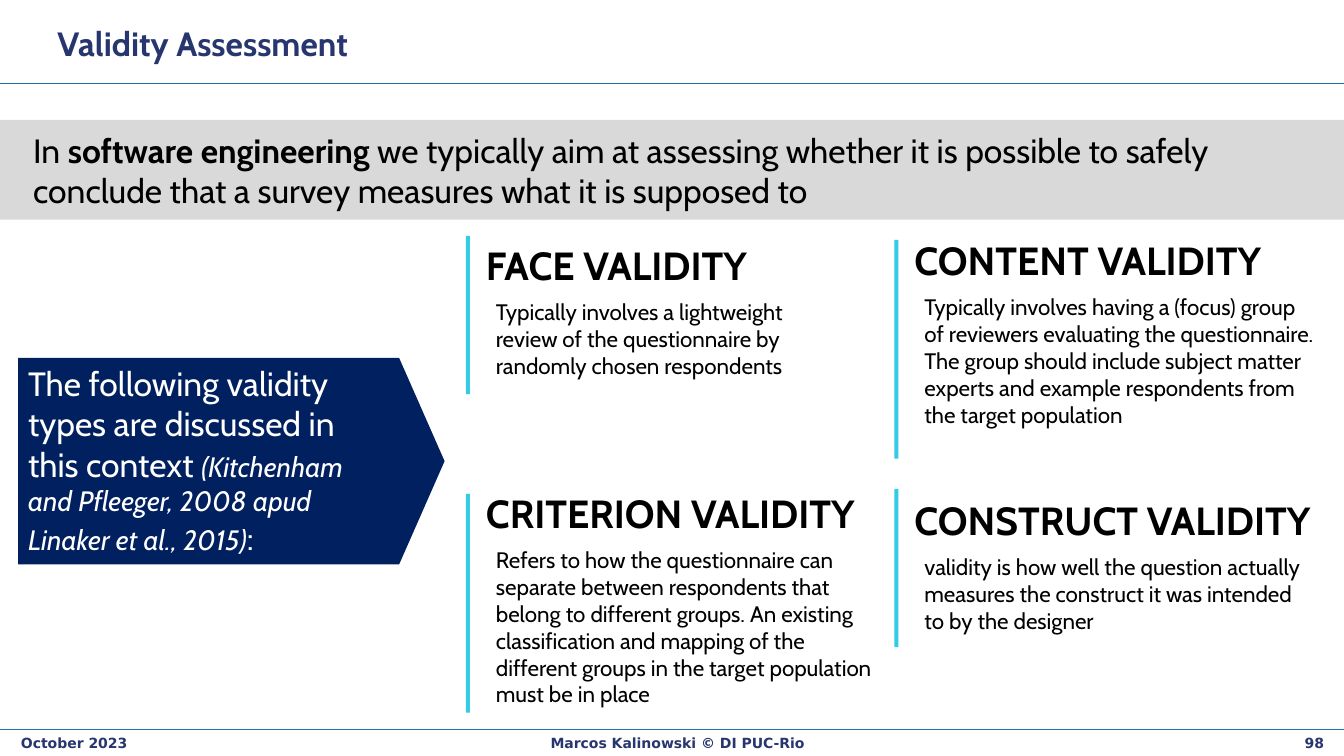
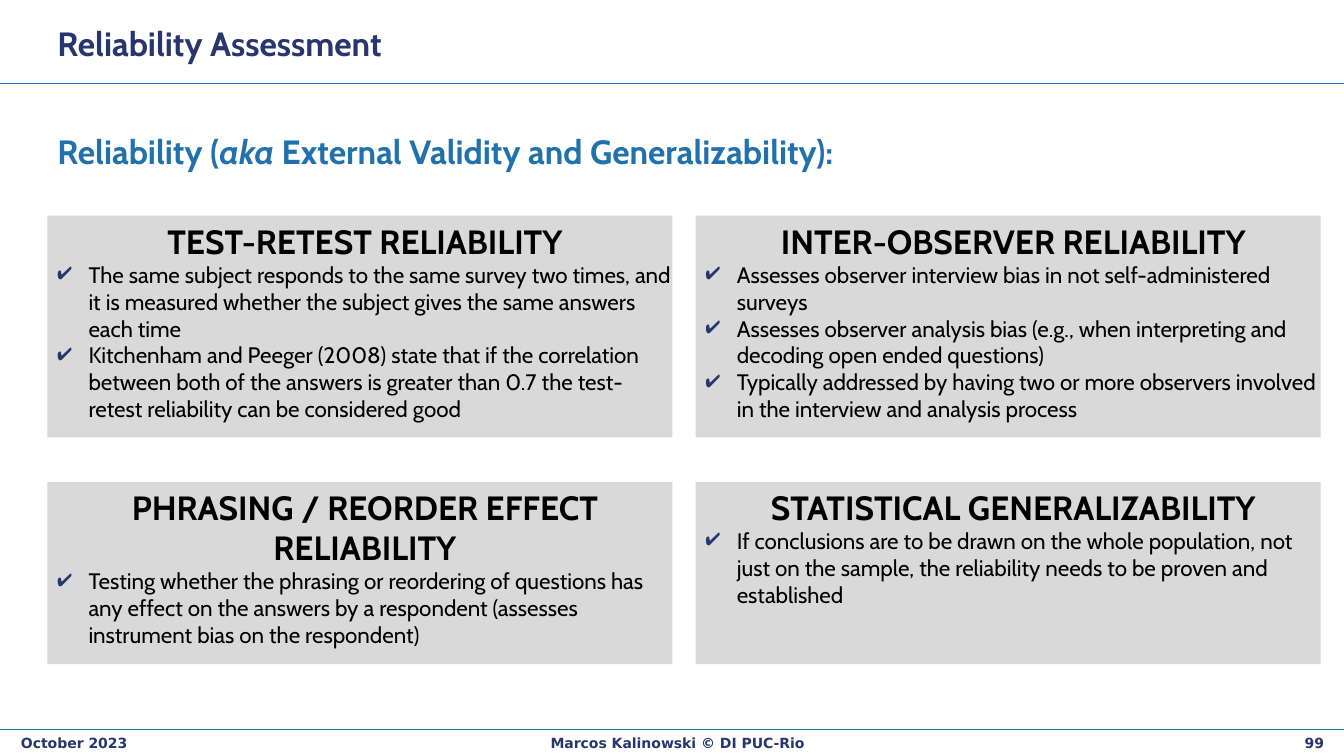
import pptx
import pptx.util
import pptx.dml.color
import pptx.enum.shapes
import pptx.enum.text
import pptx.oxml
import pptx.oxml.ns

Inches = pptx.util.Inches
SHAPE = pptx.enum.shapes.MSO_SHAPE
ALIGN = pptx.enum.text.PP_ALIGN
ANCHOR = pptx.enum.text.MSO_ANCHOR
NAVY, BLUE, CYAN, DEEP = "27366E", "2172AC", "35CAE6", "002060"
GREY, BLACK, WHITE = "D9D9D9", "000000", "FFFFFF"
FONT, SMALL = "Cabin", "DejaVu Sans"
PAD = (0.1, 0.05, 0.1, 0.05)


def color(text):
    """Turn a hex string into a colour."""
    return pptx.dml.color.RGBColor.from_string(text)


def place(shape, box):
    """Move a shape to a box given in inches."""
    shape.left, shape.top, shape.width, shape.height = map(Inches, box)


def add_run(para, text, size, hue=BLACK, bold=False, slant=False, face=FONT):
    """Add one formatted run to a paragraph."""
    run = para.add_run()
    run.text = text
    font = run.font
    font.size, font.name = pptx.util.Pt(size), face
    font.bold, font.italic = bold, slant
    font.color.rgb = color(hue)


def set_frame(shape, pad=PAD, anchor=ANCHOR.TOP):
    """Set wrap, insets and anchor, and return the first paragraph."""
    frame = shape.text_frame
    frame.word_wrap = True
    frame.auto_size = pptx.enum.text.MSO_AUTO_SIZE.NONE
    frame.vertical_anchor = anchor
    (frame.margin_left, frame.margin_top,
     frame.margin_right, frame.margin_bottom) = map(Inches, pad)
    para = frame.paragraphs[0]
    para.alignment = ALIGN.LEFT
    return para


def add_text(slide, box, pad=PAD):
    """Add a text box and return its first paragraph."""
    return set_frame(slide.shapes.add_textbox(*map(Inches, box)), pad)


def add_block(slide, box, fill, kind=SHAPE.RECTANGLE):
    """Add a flat filled shape."""
    shape = slide.shapes.add_shape(kind, *map(Inches, box))
    shape.shadow.inherit = False
    shape.fill.solid()
    shape.fill.fore_color.rgb = color(fill)
    shape.line.fill.background()
    return shape


def add_rule(slide, top):
    """Draw a line across the slide."""
    line = slide.shapes.add_connector(
        pptx.enum.shapes.MSO_CONNECTOR.STRAIGHT,
        Inches(0), Inches(top), Inches(13.33), Inches(top))
    line.line.color.rgb = color(BLUE)
    line.line.width = pptx.util.Pt(1)
    props = line.element.spPr
    props.append(pptx.oxml.parse_xml(
        "<a:effectLst %s/>" % pptx.oxml.ns.nsdecls("a")))


def add_mark(para, kind, **attrs):
    """Append a bullet element to a paragraph."""
    props = para._p.get_or_add_pPr()
    mark = props.makeelement(pptx.oxml.ns.qn("a:" + kind), attrs)
    props.append(mark)
    return mark


def set_indent(para, left, first):
    """Set the left margin and first line indent."""
    props = para._p.get_or_add_pPr()
    props.set("marL", str(Inches(left)))
    props.set("indent", str(Inches(first)))


def add_check(para):
    """Give a paragraph a check mark bullet."""
    set_indent(para, 0.31, -0.31)
    hue = add_mark(para, "buClr")
    hue.append(hue.makeelement(pptx.oxml.ns.qn("a:srgbClr"), {"val": NAVY}))
    add_mark(para, "buChar", char="✔")


def start_slide(deck, layout, title, number):
    """Add a slide with its title, rules and footer."""
    slide = deck.slides.add_slide(deck.slide_layouts[layout])
    head = slide.shapes.title
    place(head, (0.47, 0.12, 11.53, 0.62))
    add_run(set_frame(head, anchor=ANCHOR.MIDDLE), title, 24, NAVY, True)
    for top in (0.83, 7.24):
        add_rule(slide, top)
    for left, width, align, text in (
            (0.11, 2.76, ALIGN.LEFT, "October 2023"),
            (2.44, 8.56, ALIGN.CENTER, "Marcos Kalinowski © DI PUC-Rio"),
            (11.71, 1.52, ALIGN.RIGHT, str(number))):
        para = add_text(slide, (left, 7.24, width, 0.25))
        para.alignment = align
        add_run(para, text, 10, NAVY, True, face=SMALL)
    return slide


def add_band(slide, box):
    """Draw the grey band with the aim."""
    band = add_block(slide, box, GREY)
    para = set_frame(band, (0.33, 0.1, 0.1, 0.05))
    add_run(para, "In ", 24)
    add_run(para, "software engineering ", 24, bold=True)
    add_run(para, "we typically aim at assessing whether it is possible to "
            "safely conclude that a survey measures what it is supposed to", 24)


def add_arrow(slide, box):
    """Draw the navy arrow that leads to the types."""
    arrow = add_block(slide, box, DEEP, SHAPE.PENTAGON)
    arrow.adjustments[0] = 0.22
    para = set_frame(arrow, (0.1, 0.05, 0.32, 0.05))
    add_run(para, "The following validity types are discussed in this context ",
            24, WHITE)
    add_run(para, "(Kitchenham and Pfleeger, 2008 apud Linaker et al., 2015)",
            20, WHITE, slant=True)
    add_run(para, ":", 24, WHITE)


def add_type(slide, box, drop, name, text):
    """Draw a validity type beside its bar."""
    left, top, width, height = box
    add_block(slide, (left, top, 0.04, height), CYAN)
    left, top = left + 0.2, top + drop
    add_run(add_text(slide, (left, top, 4.08, 0.41), (0, 0, 0, 0)),
            name, 28, bold=True)
    add_run(add_text(slide, (left, top + 0.52, width, height - 0.45)),
            text, 16)


def add_card(slide, box, name, points):
    """Draw a grey card with a heading and checked points."""
    card = add_block(slide, box, GREY)
    para = set_frame(card, (0.1, 0.05, 0, 0.05))
    para.alignment = ALIGN.CENTER
    add_run(para, name, 24, bold=True)
    for text in points:
        para = card.text_frame.add_paragraph()
        para.alignment = ALIGN.LEFT
        add_check(para)
        add_run(para, text, 16)


def add_lead(slide, box):
    """Fill the body placeholder with the lead line."""
    body = slide.placeholders[1]
    place(body, box)
    para = set_frame(body)
    para.line_spacing = 1.2
    para.space_before = pptx.util.Pt(0)
    set_indent(para, 0, 0)
    add_mark(para, "buNone")
    add_run(para, "Reliability (", 24, BLUE, True)
    add_run(para, "aka", 24, BLUE, True, True)
    add_run(para, " External Validity and Generalizability):", 24, BLUE, True)


TYPES = (
    ((4.62, 2.34, 3.66, 1.57), 0.05, "FACE VALIDITY",
     "Typically involves a lightweight review of the questionnaire by "
     "randomly chosen respondents"),
    ((8.87, 2.38, 4.08, 2.17), -0.04, "CONTENT VALIDITY",
     "Typically involves having a (focus) group of reviewers evaluating the "
     "questionnaire. The group should include subject matter experts and "
     "example respondents from the target population"),
    ((4.62, 4.9, 4.05, 2.17), -0.05, "CRITERION VALIDITY",
     "Refers to how the questionnaire can separate between respondents that "
     "belong to different groups. An existing classification and mapping of "
     "the different groups in the target population must be in place"),
    ((8.87, 4.85, 4.08, 1.57), 0.07, "CONSTRUCT VALIDITY",
     "validity is how well the question actually measures the construct it "
     "was intended to by the designer"),
)

CARDS = (
    ("TEST-RETEST RELIABILITY", (
        "The same subject responds to the same survey two times, and it is "
        "measured whether the subject gives the same answers each time",
        "Kitchenham and Peeger (2008) state that if the correlation between "
        "both of the answers is greater than 0.7 the test-retest reliability "
        "can be considered good")),
    ("INTER-OBSERVER RELIABILITY", (
        "Assesses observer interview bias in not self-administered surveys",
        "Assesses observer analysis bias (e.g., when interpreting and "
        "decoding open ended questions)",
        "Typically addressed by having two or more observers involved in the "
        "interview and analysis process")),
    ("PHRASING / REORDER EFFECT RELIABILITY", (
        "Testing whether the phrasing or reordering of questions has any "
        "effect on the answers by a respondent (assesses instrument bias on "
        "the respondent)",)),
    ("STATISTICAL GENERALIZABILITY", (
        "If conclusions are to be drawn on the whole population, not just on "
        "the sample, the reliability needs to be proven and established",)),
)


def add_valid(deck):
    """Build the validity slide."""
    slide = start_slide(deck, 5, "Validity Assessment", 98)
    add_band(slide, (0, 1.19, 13.33, 0.99))
    for item in TYPES:
        add_type(slide, *item)
    add_arrow(slide, (0.18, 3.55, 4.23, 2.05))


def add_reliable(deck):
    """Build the reliability slide."""
    slide = start_slide(deck, 1, "Reliability Assessment", 99)
    add_lead(slide, (0.47, 1.17, 12.53, 0.8))
    rows = ((2.14, 2.2), (4.78, 1.81))
    for index, (name, points) in enumerate(CARDS):
        row, col = divmod(index, 2)
        top, height = rows[row]
        add_card(slide, (0.47 + 6.43 * col, top, 6.2, height), name, points)


def main():
    """Build and save the deck."""
    deck = pptx.Presentation()
    deck.slide_width, deck.slide_height = Inches(13.33), Inches(7.5)
    add_valid(deck)
    add_reliable(deck)
    deck.save("out.pptx")


if __name__ == "__main__":
    main()
